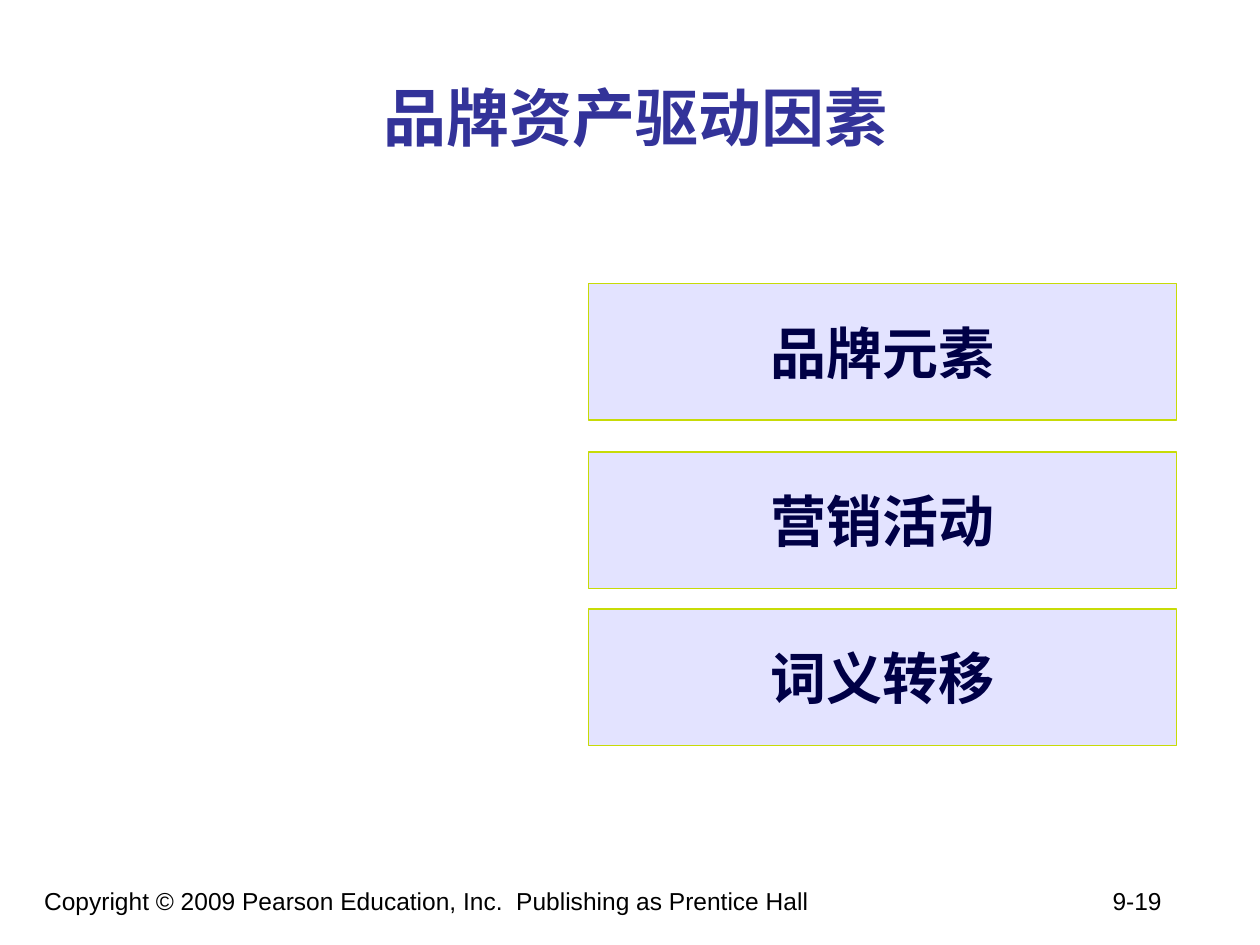
import pptx
import pptx.dml.color
import pptx.enum.shapes
import pptx.enum.text
import pptx.oxml
import pptx.oxml.ns
import pptx.util
from pptx.util import Cm

TITLE_BLUE = pptx.dml.color.RGBColor(0x33, 0x33, 0x99)
DRIVER_FILL = pptx.dml.color.RGBColor(0xE3, 0xE3, 0xFF)
DRIVER_BORDER = pptx.dml.color.RGBColor(0xC7, 0xDB, 0x07)
DRIVER_TEXT = pptx.dml.color.RGBColor(0x00, 0x00, 0x46)
BLACK = pptx.dml.color.RGBColor(0x00, 0x00, 0x00)
LATIN_FONT = "Arial"
CHINESE_FONT = "Noto Sans CJK SC"

DRIVERS = [("品牌元素", 0), ("营销活动", 3.39), ("词义转移", 6.56)]
COPYRIGHT = "Copyright © 2009 Pearson Education, Inc.  Publishing as Prentice Hall"


def format_paragraph(paragraph, font_name, size, color, bold=False):
    """Set the Latin and East Asian fonts, size and colour of a paragraph."""
    font = paragraph.font
    font.name = font_name
    font.size = pptx.util.Pt(size)
    font.bold = bold
    font.color.rgb = color
    defaults = paragraph._p.pPr.find(pptx.oxml.ns.qn("a:defRPr"))
    defaults.append(pptx.oxml.parse_xml(
        f'<a:ea {pptx.oxml.ns.nsdecls("a")} typeface="{CHINESE_FONT}"/>'))


def place_title(slide, left, top, width, height):
    """Move the title placeholder into its box and fill it."""
    title = slide.shapes.title
    title.left, title.top, title.width, title.height = left, top, width, height
    title.text_frame.text = "品牌资产驱动因素"
    title.text_frame.vertical_anchor = pptx.enum.text.MSO_ANCHOR.MIDDLE
    heading = title.text_frame.paragraphs[0]
    heading.alignment = pptx.enum.text.PP_ALIGN.CENTER
    format_paragraph(heading, CHINESE_FONT, 36, TITLE_BLUE, bold=True)


def place_drivers(slide, left, top, width, driver_height):
    """Stack one bordered panel for each brand equity driver."""
    for name, offset in DRIVERS:
        driver = slide.shapes.add_shape(
            pptx.enum.shapes.MSO_SHAPE.RECTANGLE,
            left, top + Cm(offset), width, driver_height)
        driver.shadow.inherit = False
        driver.fill.solid()
        driver.fill.fore_color.rgb = DRIVER_FILL
        driver.line.color.rgb = DRIVER_BORDER
        driver.line.width = pptx.util.Pt(0.75)
        driver.text_frame.text = name
        driver.text_frame.word_wrap = False
        driver.text_frame.vertical_anchor = pptx.enum.text.MSO_ANCHOR.MIDDLE
        label = driver.text_frame.paragraphs[0]
        label.alignment = pptx.enum.text.PP_ALIGN.CENTER
        format_paragraph(label, LATIN_FONT, 32, DRIVER_TEXT, bold=True)


def place_footer(slide, left, top, width, height):
    """Write the copyright line with the page number at a right tab."""
    footer = slide.shapes.add_textbox(left, top, width, height)
    footer.text_frame.word_wrap = True
    footer.text_frame.text = f"{COPYRIGHT}\t9-19"
    line = footer.text_frame.paragraphs[0]
    page_tab = width - Cm(1.17)
    line._p.get_or_add_pPr().append(pptx.oxml.parse_xml(
        f'<a:tabLst {pptx.oxml.ns.nsdecls("a")}>'
        f'<a:tab pos="{page_tab}" algn="r"/></a:tabLst>'))
    format_paragraph(line, LATIN_FONT, 14, BLACK)


def main():
    """Build and save the slide."""
    presentation = pptx.Presentation()
    presentation.slide_width = Cm(25.4)
    presentation.slide_height = Cm(19.05)
    slide = presentation.slides.add_slide(presentation.slide_layouts[5])
    place_footer(slide, Cm(0.64), Cm(17.73), Cm(23.7), Cm(1.32))
    place_title(slide, Cm(2.11), Cm(0.76), Cm(21.39), Cm(3.18))
    place_drivers(slide, Cm(11.86), Cm(5.72), Cm(11.86), Cm(2.75))
    presentation.save("out.pptx")


if __name__ == "__main__":
    main()
